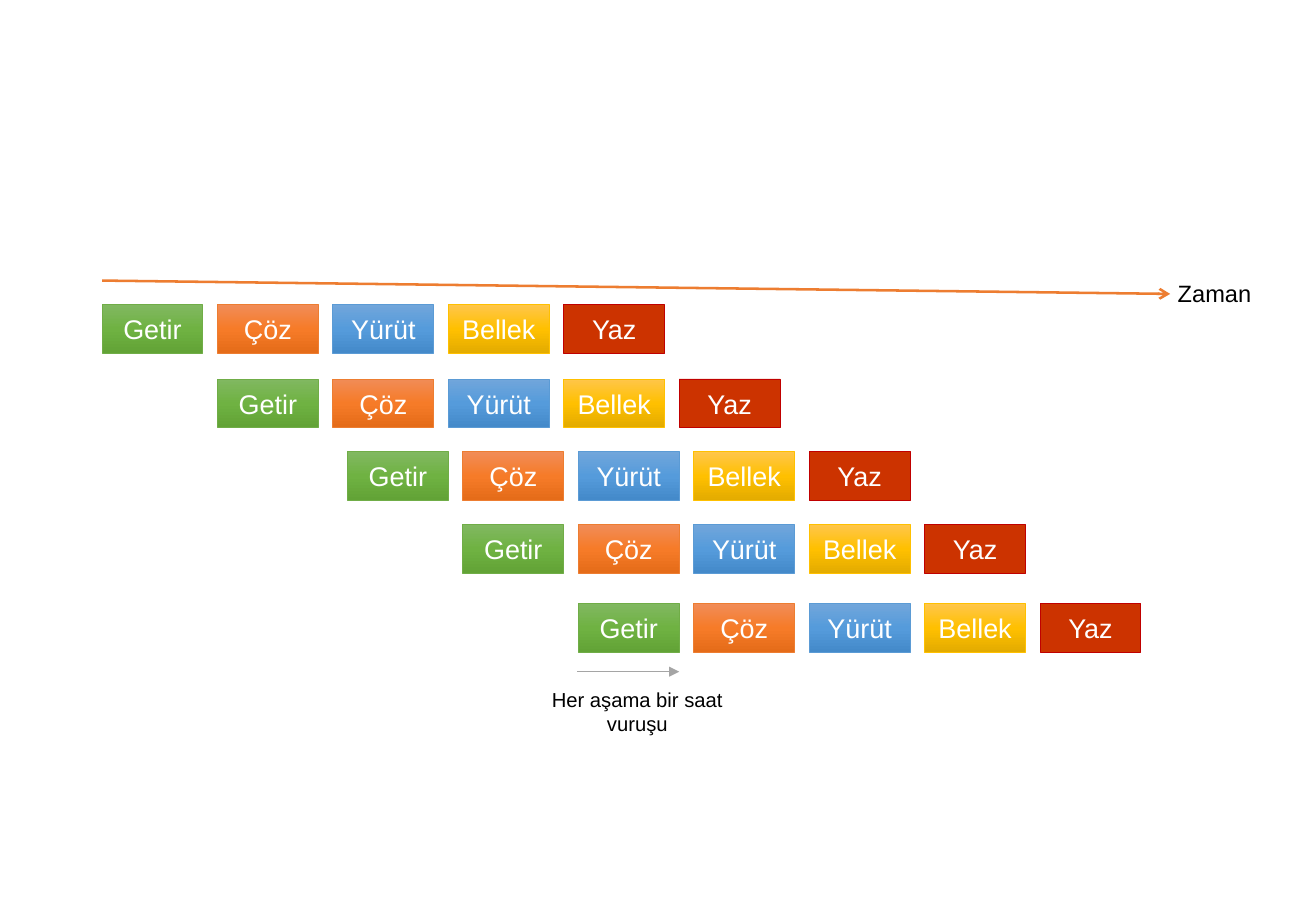
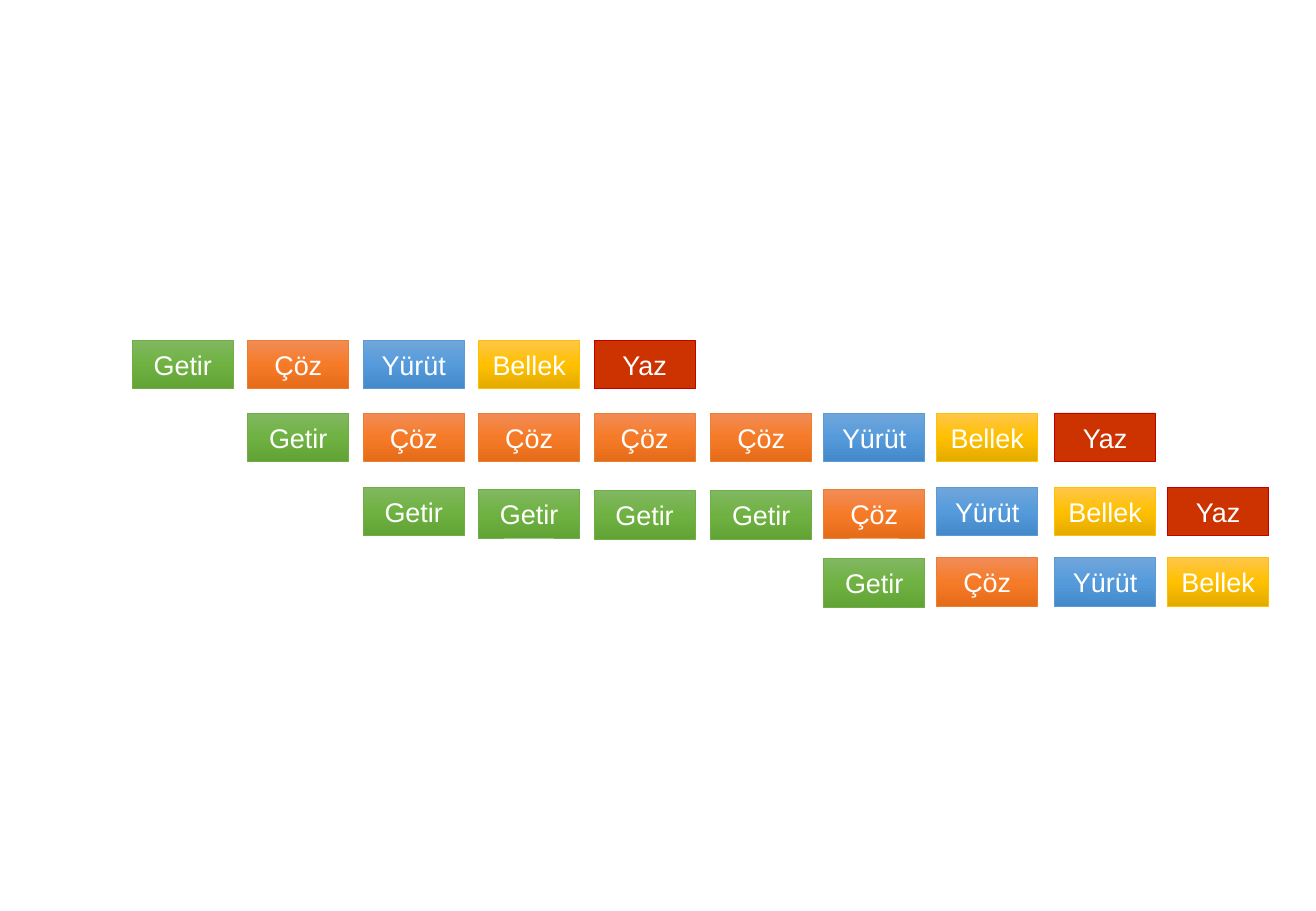
import copy
import lxml.etree
import pptx
import pptx.dml.color
import pptx.enum.shapes
import pptx.enum.text
import pptx.oxml.ns
import pptx.util

PX = 9144
BOX_WIDTH, BOX_HEIGHT, PITCH = 83, 40, 95
STAGES = {
    "Getir": (["81B861", "6FB242", "62A336"], "70AD47"),
    "Çöz": (["F18C57", "F67B28", "E56C19"], "ED7D31"),
    "Yürüt": (["71A6DB", "559BDB", "448ACA"], "5B9BD5"),
    "Bellek": (["FFC64B", "FFC000", "E3AB00"], "FFC000"),
    "Yaz": (["CC3300"], "C00000"),
}


def rgb(value):
    return pptx.dml.color.RGBColor.from_string(value)


def write(shape, text, size, color, margin):
    frame = shape.text_frame
    frame.word_wrap = True
    frame.vertical_anchor = pptx.enum.text.MSO_ANCHOR.MIDDLE
    frame.margin_left = frame.margin_right = margin * PX
    para = frame.paragraphs[0]
    para.text = text
    para.alignment = pptx.enum.text.PP_ALIGN.CENTER
    para.font.name = "Arial"
    para.font.size = pptx.util.Pt(size)
    para.font.color.rgb = rgb(color)


deck = pptx.Presentation()
deck.slide_width, deck.slide_height = 1083 * PX, 750 * PX
flow_slide, stall_slide = [deck.slides.add_slide(deck.slide_layouts[6]) for _ in range(2)]

boxes = []
flow_rows = [(84, 251), (179, 312), (286, 372), (381, 432), (476, 497)]
for left, top in flow_rows:
    for column, stage in enumerate(STAGES):
        boxes.append((flow_slide, stage, left + column * PITCH, top))

stall_columns = [109, 204, 299, 394, 489, 585, 678, 771, 868, 961]
stall_rows = [
    (0, [280] * 5, list(STAGES)),
    (1, [340] * 8, ["Getir"] + ["Çöz"] * 4 + ["Yürüt", "Bellek", "Yaz"]),
    (2, [401, 403, 404, 404, 403, 401, 401, 401],
     ["Getir"] * 4 + ["Çöz", "Yürüt", "Bellek", "Yaz"]),
    (6, [460, 459, 459, 459], ["Getir", "Çöz", "Yürüt", "Bellek"]),
]
for first, tops, stages in stall_rows:
    for left, top, stage in zip(stall_columns[first:], tops, stages):
        boxes.append((stall_slide, stage, left, top))

for slide, stage, left, top in boxes:
    colors, outline = STAGES[stage]
    box = slide.shapes.add_shape(
        pptx.enum.shapes.MSO_SHAPE.RECTANGLE,
        left * PX, top * PX, BOX_WIDTH * PX, BOX_HEIGHT * PX)
    box.shadow.inherit = False
    if len(colors) == 1:
        box.fill.solid()
        box.fill.fore_color.rgb = rgb(colors[0])
    else:
        box.fill.gradient()
        box.fill.gradient_angle = 270
        stop_list = box._element.spPr.find(".//" + pptx.oxml.ns.qn("a:gsLst"))
        stop_list.insert(1, copy.deepcopy(stop_list[0]))
        for stop, color, position in zip(box.fill.gradient_stops, colors, (0, 0.5, 1)):
            stop.color.rgb = rgb(color)
            stop.position = position
    box.line.color.rgb = rgb(outline)
    box.line.width = pptx.util.Pt(0.5)
    write(box, stage, 16, "FFFFFF", 0)

arrows = [
    (84, 231, 963, 242, "ED7D31", 1.5, "arrow"),
    (475, 553, 559, 553, "A5A5A5", 0.5, "triangle"),
]
for x1, y1, x2, y2, color, width, head in arrows:
    arrow = flow_slide.shapes.add_connector(
        pptx.enum.shapes.MSO_CONNECTOR.STRAIGHT, x1 * PX, y1 * PX, x2 * PX, y2 * PX)
    arrow.line.color.rgb = rgb(color)
    arrow.line.width = pptx.util.Pt(width)
    properties = arrow._element.spPr
    outline = properties.find(pptx.oxml.ns.qn("a:ln"))
    lxml.etree.SubElement(outline, pptx.oxml.ns.qn("a:tailEnd"), type=head)
    lxml.etree.SubElement(properties, pptx.oxml.ns.qn("a:effectLst"))

labels = [
    ("Zaman", 937, 226, 125, 14),
    ("Her aşama bir saat vuruşu", 434, 570, 181, 12),
]
for text, left, top, width, size in labels:
    label = flow_slide.shapes.add_textbox(left * PX, top * PX, width * PX, 31 * PX)
    write(label, text, size, "000000", 10)

deck.save("out.pptx")
